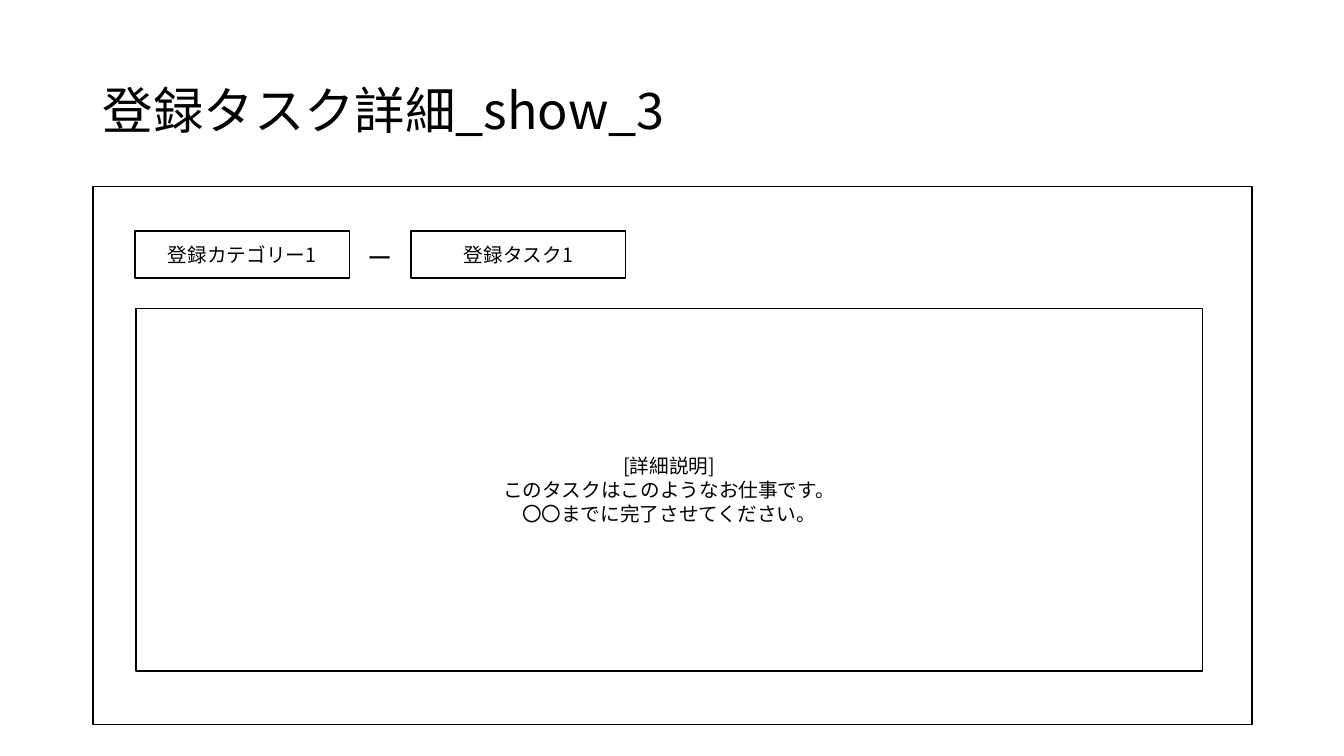
from dataclasses import dataclass

from lxml.etree import SubElement
from pptx import Presentation
from pptx.dml.color import RGBColor
from pptx.enum.shapes import MSO_SHAPE
from pptx.enum.text import MSO_ANCHOR, MSO_AUTO_SIZE, PP_ALIGN
from pptx.oxml.ns import qn
from pptx.slide import Slide
from pptx.text.text import TextFrame
from pptx.util import Cm, Pt

COLORS = {"ink": "000000"}
FONT = "Noto Sans CJK JP"


@dataclass
class Box:
    left: float
    top: float
    width: float
    height: float
    lines: tuple[str, ...] = ()


# Outer frame, then the boxes inside it
FRAME = Box(2.34, 4.7, 29.21, 13.56)
TASK = Box(10.36, 5.82, 5.41, 1.19, ("登録タスク1",))
GROUP = Box(3.4, 5.82, 5.41, 1.19, ("登録カテゴリー1",))
DETAIL = Box(3.43, 7.77, 26.87, 9.14, (
    "[詳細説明]",
    "このタスクはこのようなお仕事です。",
    "〇〇までに完了させてください。",
))


def write(frame: TextFrame, *lines: str, size: float = 14,
          align: PP_ALIGN = PP_ALIGN.CENTER,
          anchor: MSO_ANCHOR = MSO_ANCHOR.MIDDLE,
          wrap: bool = True, spacing: float = 1.0,
          fit: MSO_AUTO_SIZE = MSO_AUTO_SIZE.NONE) -> None:
    frame.word_wrap = wrap
    frame.auto_size = fit
    frame.vertical_anchor = anchor
    for i, line in enumerate(lines):
        para = frame.paragraphs[0] if i == 0 else frame.add_paragraph()
        para.alignment = align
        para.line_spacing = spacing
        run = para.add_run()
        run.text = line
        run.font.size = Pt(size)
        run.font.color.rgb = RGBColor.from_string(COLORS["ink"])
        run.font.name = FONT
        # Japanese glyphs take the East Asian typeface
        SubElement(run.font._element, qn("a:ea"), typeface=FONT)


def draw(slide: Slide, box: Box) -> None:
    shape = slide.shapes.add_shape(
        MSO_SHAPE.RECTANGLE, Cm(box.left), Cm(box.top),
        Cm(box.width), Cm(box.height))
    shape.shadow.inherit = False
    shape.fill.background()
    shape.line.color.rgb = RGBColor.from_string(COLORS["ink"])
    shape.line.width = Pt(1)
    write(shape.text_frame, *box.lines)


def main() -> None:
    deck = Presentation()
    deck.slide_width, deck.slide_height = Cm(33.87), Cm(19.05)
    slide = deck.slides.add_slide(deck.slide_layouts[5])

    # Title
    title = slide.shapes.title
    title.left, title.top = Cm(2.34), Cm(1.02)
    title.width, title.height = Cm(29.21), Cm(3.68)
    write(title.text_frame, "登録タスク詳細_show_3", size=36,
          align=PP_ALIGN.LEFT, spacing=0.9)

    # Frame and boxes
    for box in (FRAME, TASK, GROUP, DETAIL):
        draw(slide, box)

    # Dash between the two labels
    dash = slide.shapes.add_textbox(Cm(9.02), Cm(5.99), Cm(1.14), Cm(1.02))
    write(dash.text_frame, "ー", size=18, align=PP_ALIGN.LEFT,
          anchor=MSO_ANCHOR.TOP, wrap=False,
          fit=MSO_AUTO_SIZE.SHAPE_TO_FIT_TEXT)

    deck.save("out.pptx")


if __name__ == "__main__":
    main()
